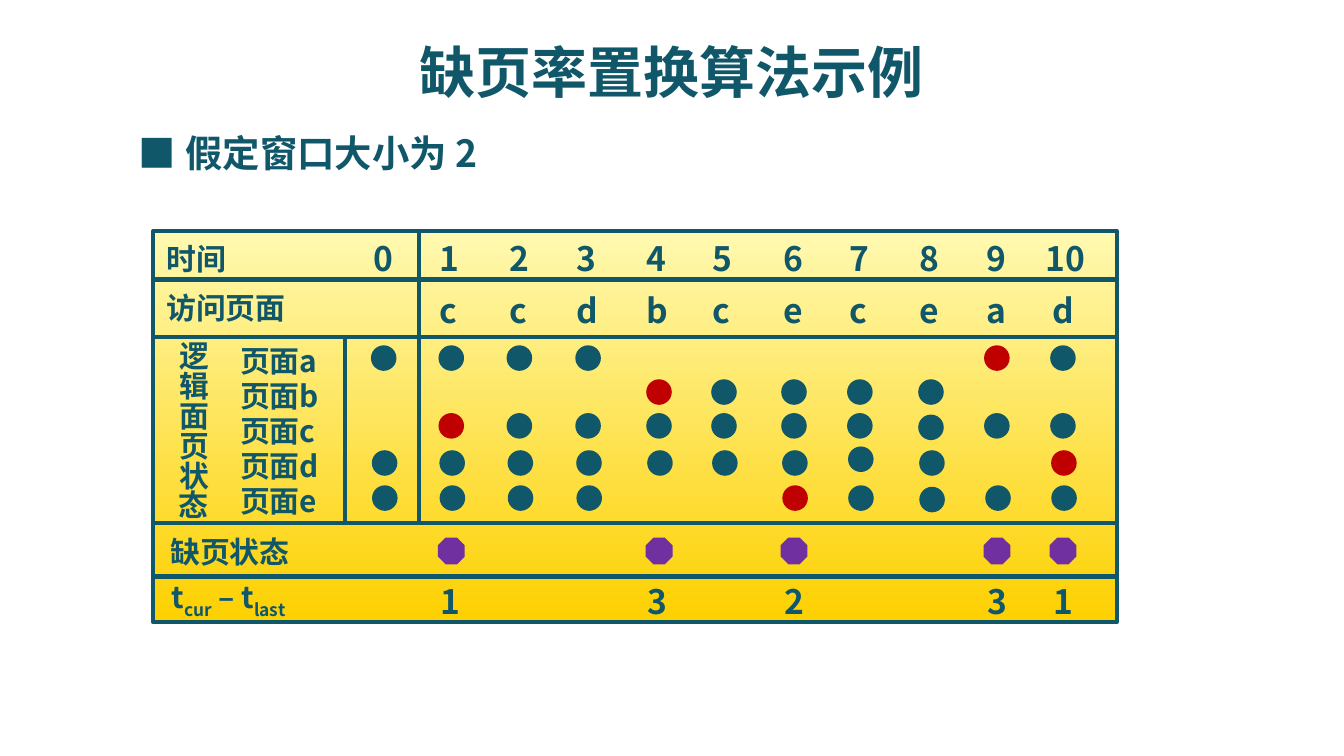
"""Build the slide that traces page-fault-frequency replacement."""
from typing import Any, NamedTuple

from lxml.etree import SubElement
from pptx import Presentation
from pptx.dml.color import RGBColor
from pptx.enum.shapes import MSO_CONNECTOR, MSO_SHAPE
from pptx.enum.text import MSO_ANCHOR, MSO_AUTO_SIZE, PP_ALIGN
from pptx.oxml.ns import qn
from pptx.util import Pt

INK = {"teal": "11576A", "red": "C00000", "violet": "7030A0",
       "pale": "FFF9B1", "gold": "FDD000"}
FONT = "Noto Sans CJK SC"
DOT = 13.7
MARK = 14.4
WIDE = {"c": 24, "10": 36.7}


class Column(NamedTuple):
    time: str
    page: str
    text: float
    dot: float
    held: str
    gap: str = ""


class Row(NamedTuple):
    page: str
    top: float
    shift: float


class Label(NamedTuple):
    text: str
    left: float
    top: float
    width: float


class Rule(NamedTuple):
    x: float
    y: float
    to_x: float
    to_y: float


COLUMNS = [
    Column("0", "", 193, 198.7, "ade"),
    Column("1", "c", 228.2, 234.9, "acde", "1"),
    Column("2", "c", 265.7, 271.4, "acde"),
    Column("3", "d", 301.7, 308.2, "acde"),
    Column("4", "b", 339.1, 346.2, "bcd", "3"),
    Column("5", "c", 374.4, 381, "bcd"),
    Column("6", "e", 412.6, 418.5, "bcde", "2"),
    Column("7", "c", 447.8, 453.8, "bcde"),
    Column("8", "e", 485.3, 491.9, "bcde"),
    Column("9", "a", 521.3, 527.2, "ace", "3"),
    Column("10", "d", 556.6, 562.6, "acde", "1"),
]
ROWS = [Row("a", 185, 0), Row("b", 203.2, 0), Row("c", 221.3, 0),
        Row("d", 241.2, 0.5), Row("e", 260, 0.6)]
NUDGE = {("7", "d"): -2, ("8", "c"): 0.8, ("8", "e"): 0.8}
LABELS = [Label("时间", 82.1, 125.3, 56), Label("访问页面", 82.1, 151.9, 101.5),
          Label("缺页状态", 84.2, 282.2, 83), Label("t|cur| – t|last", 85, 306.7, 101.5)]
LEFT, TOP, WIDTH, HEIGHT = 82.1, 123.8, 516.2, 209.5
RULES = [Rule(LEFT, y, LEFT + WIDTH, y) for y in (149.8, 180.7, 280.1, 308.9)]
RULES += [Rule(185, 181.4, 185, 279.4), Rule(224.6, 123.1, 224.6, 279.4)]


def tint(name: str) -> RGBColor:
    """Return a named colour."""
    return RGBColor.from_string(INK[name])


def write(slide: Any, text: str, left: float, top: float, width: float, height: float,
          *, size: float = 16, font: str = FONT, wrap: bool = True, align: Any = None,
          pitch: float = 0, track: int = 0, box: Any = None) -> None:
    """Set formatted text; every second part between bars is a subscript."""
    if box is None:
        box = slide.shapes.add_textbox(0, 0, 0, 0)
    box.left, box.top, box.width, box.height = Pt(left), Pt(top), Pt(width), Pt(height)
    frame = box.text_frame
    frame.word_wrap = wrap
    frame.auto_size = MSO_AUTO_SIZE.SHAPE_TO_FIT_TEXT
    frame.vertical_anchor = MSO_ANCHOR.TOP
    para = frame.paragraphs[0]
    para.alignment = align
    if pitch:
        para.line_spacing = Pt(pitch)
    for i, part in enumerate(text.split("|")):
        run = para.add_run()
        run.text = part
        run.font.size, run.font.bold, run.font.name = Pt(size), True, font
        run.font.color.rgb = tint("teal")
        props = run.font._element
        SubElement(props, qn("a:ea")).set("typeface", font)
        if i % 2:
            props.set("baseline", "-25000")
        if track:
            props.set("spc", str(track))


def mark(slide: Any, kind: Any, left: float, top: float, size: float, name: str) -> None:
    """Draw a filled mark without outline."""
    shape = slide.shapes.add_shape(kind, Pt(left), Pt(top), Pt(size), Pt(size))
    shape.shadow.inherit = False
    shape.fill.solid()
    shape.fill.fore_color.rgb = tint(name)
    shape.line.fill.background()


def panel(slide: Any) -> None:
    """Draw the gradient panel behind the grid."""
    shape = slide.shapes.add_shape(MSO_SHAPE.RECTANGLE, Pt(LEFT), Pt(TOP), Pt(WIDTH), Pt(HEIGHT))
    shape.shadow.inherit = False
    shape.fill.gradient()
    shape.fill.gradient_angle = 270
    for stop, name, place in zip(shape.fill.gradient_stops, ("pale", "gold"), (0, 1)):
        stop.color.rgb = tint(name)
        stop.position = place
    shape.line.color.rgb = tint("teal")
    shape.line.width = Pt(2.25)


def rule(slide: Any, item: Rule) -> None:
    """Draw one grid line."""
    line = slide.shapes.add_connector(MSO_CONNECTOR.STRAIGHT, *map(Pt, item))
    line.line.color.rgb = tint("teal")
    line.line.width = Pt(2.25)
    SubElement(line._element.spPr, qn("a:effectLst"))


def column(slide: Any, item: Column) -> None:
    """Draw one time step: heading, access, resident pages and fault."""
    wide = WIDE.get(item.time, 26)
    write(slide, item.time, item.text + (26 - wide) / 3, 123.8, wide, 28.8, size=18, wrap=False)
    if item.page:
        write(slide, item.page, item.text, 151.9, WIDE.get(item.page, 26), 28.8,
              size=18, wrap=False)
    for row in ROWS:
        if row.page in item.held:
            fault = item.gap and row.page == item.page
            top = row.top + NUDGE.get((item.time, row.page), 0)
            mark(slide, MSO_SHAPE.OVAL, item.dot + row.shift, top, DOT,
                 "red" if fault else "teal")
    if item.gap:
        mark(slide, MSO_SHAPE.OCTAGON, item.dot - 0.3, 288, MARK, "violet")
        write(slide, item.gap, item.text + 0.5, 307.6, 26, 28.8, size=18, wrap=False)


def main() -> None:
    """Assemble and save the slide."""
    deck = Presentation()
    deck.slide_width, deck.slide_height = Pt(720), Pt(405)
    slide = deck.slides.add_slide(deck.slide_layouts[5])
    write(slide, "缺页率置换算法示例", 0, 16.6, 720, 43.9, size=30,
          align=PP_ALIGN.CENTER, box=slide.shapes.title)
    write(slide, "■", 67, 66.2, 33.8, 31.7, size=20, font="Noto Sans CJK JP")
    write(slide, "假定窗口大小为 2", 92.2, 66.2, 236.9, 31.7, size=20)
    panel(slide)
    for item in RULES:
        rule(slide, item)
    for label in LABELS:
        write(slide, *label, 26.6)
    for i, row in enumerate(ROWS):
        write(slide, f"页面{row.page}", 121.5, 180 + 18.7 * i, 78.5, 26.6)
    write(slide, "逻辑面页状态", 81.4, 180.7, 43.9, 104.4,
          align=PP_ALIGN.CENTER, pitch=16, track=-100)
    for item in COLUMNS:
        column(slide, item)
    deck.save("out.pptx")


if __name__ == "__main__":
    main()
